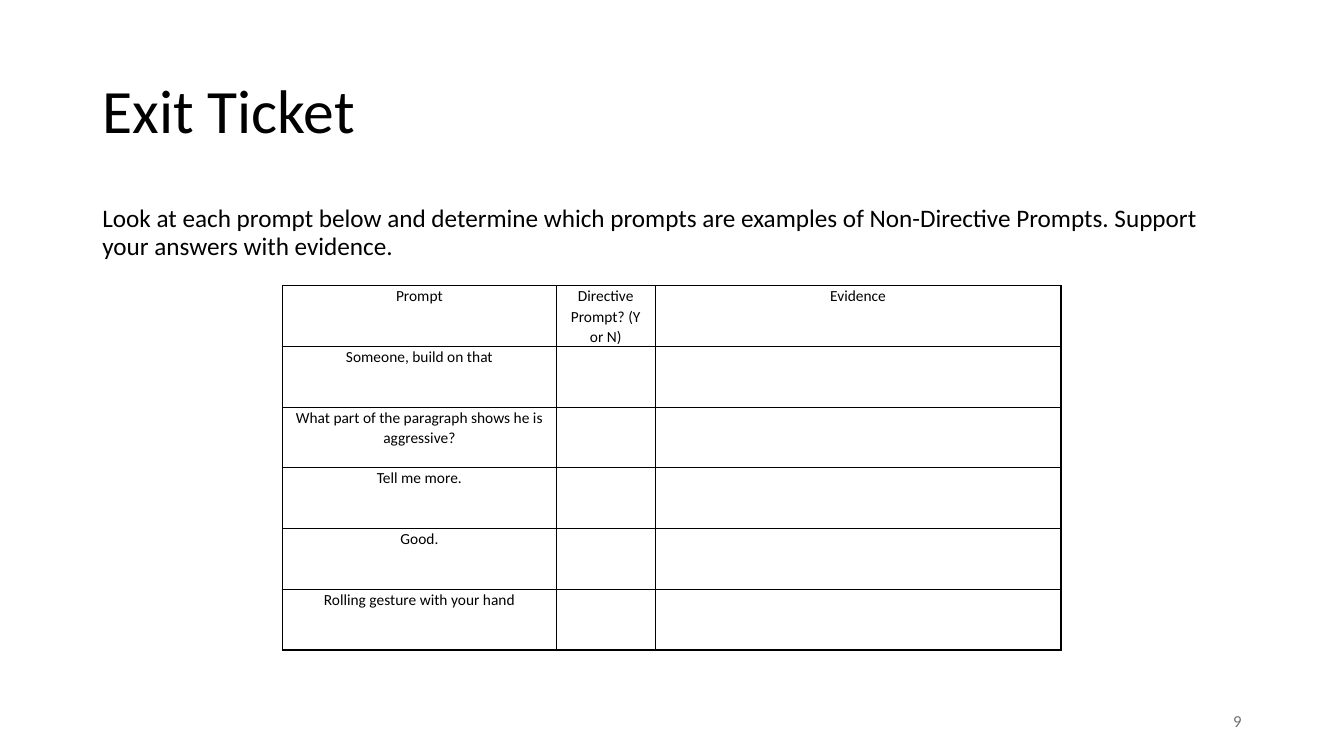
from dataclasses import dataclass

from lxml import etree
from pptx import Presentation
from pptx import util as u
from pptx.dml.color import RGBColor
from pptx.enum import text
from pptx.oxml import ns


@dataclass(frozen=True)
class Theme:
    font: str = "Calibri"
    ink: str = "000000"
    muted: str = "717171"
    title: int = 44
    body: int = 18
    cell: int = 11
    number: int = 12
    border: int = 1


THEME = Theme()
ROWS = [
    ("Prompt", "Directive Prompt? (Y or N)", "Evidence"),
    ("Someone, build on that", "", ""),
    ("What part of the paragraph shows he is aggressive?", "", ""),
    ("Tell me more.", "", ""),
    ("Good.", "", ""),
    ("Rolling gesture with your hand", "", ""),
]
COLUMN_WIDTHS = (6.9, 2.49, 10.23)
ROW_HEIGHT = 1.53


def write(frame, wording, size, color, align, spacing):
    frame.word_wrap = True
    paragraph = frame.paragraphs[0]
    paragraph.text = wording
    paragraph.alignment = align
    paragraph.line_spacing = spacing
    for run in paragraph.runs:
        run.font.name = THEME.font
        run.font.size = u.Pt(size)
        run.font.color.rgb = RGBColor.from_string(color)


def add_text(slide, wording, box, size, color=THEME.ink, anchor=text.MSO_ANCHOR.MIDDLE,
             align=text.PP_ALIGN.LEFT, spacing=0.9):
    frame = slide.shapes.add_textbox(*map(u.Cm, box)).text_frame
    frame.vertical_anchor = anchor
    write(frame, wording, size, color, align, spacing)


def add_borders(cell):
    properties = cell._tc.get_or_add_tcPr()
    for side in ("a:lnL", "a:lnR", "a:lnT", "a:lnB"):
        line = etree.SubElement(properties, ns.qn(side), w=str(u.Pt(THEME.border)))
        fill = etree.SubElement(line, ns.qn("a:solidFill"))
        etree.SubElement(fill, ns.qn("a:srgbClr"), val=THEME.ink)


def fill_cell(cell, wording):
    cell.margin_left = cell.margin_right = u.Cm(0.18)
    cell.margin_top = cell.margin_bottom = u.Cm(0)
    add_borders(cell)
    cell.fill.background()
    if wording:
        write(cell.text_frame, wording, THEME.cell, THEME.ink, text.PP_ALIGN.CENTER, 1.07)


def add_prompt_table(slide, left, top):
    width, height = sum(COLUMN_WIDTHS), ROW_HEIGHT * len(ROWS)
    prompts = slide.shapes.add_table(
        len(ROWS), len(COLUMN_WIDTHS), u.Cm(left), u.Cm(top), u.Cm(width), u.Cm(height)
    ).table
    prompts.first_row = prompts.horz_banding = False
    for column, column_width in zip(prompts.columns, COLUMN_WIDTHS):
        column.width = u.Cm(column_width)
    for row, wordings in zip(prompts.rows, ROWS):
        row.height = u.Cm(ROW_HEIGHT)
        for cell, wording in zip(row.cells, wordings):
            fill_cell(cell, wording)


def main():
    deck = Presentation()
    deck.slide_width, deck.slide_height = u.Cm(33.87), u.Cm(19.05)
    slide = deck.slides.add_slide(deck.slide_layouts[6])
    add_text(slide, "Exit Ticket", (2.33, 1.01, 29.21, 3.68), THEME.title)
    add_text(
        slide,
        "Look at each prompt below and determine which prompts are examples of "
        "Non-Directive Prompts. Support your answers with evidence.",
        (2.33, 5.07, 29.21, 12.09), THEME.body, anchor=text.MSO_ANCHOR.TOP,
    )
    add_prompt_table(slide, 7.12, 7.2)
    add_text(slide, "9", (23.92, 17.66, 7.62, 1.01), THEME.number, THEME.muted,
             align=text.PP_ALIGN.RIGHT, spacing=1.0)
    deck.save("out.pptx")


if __name__ == "__main__":
    main()
